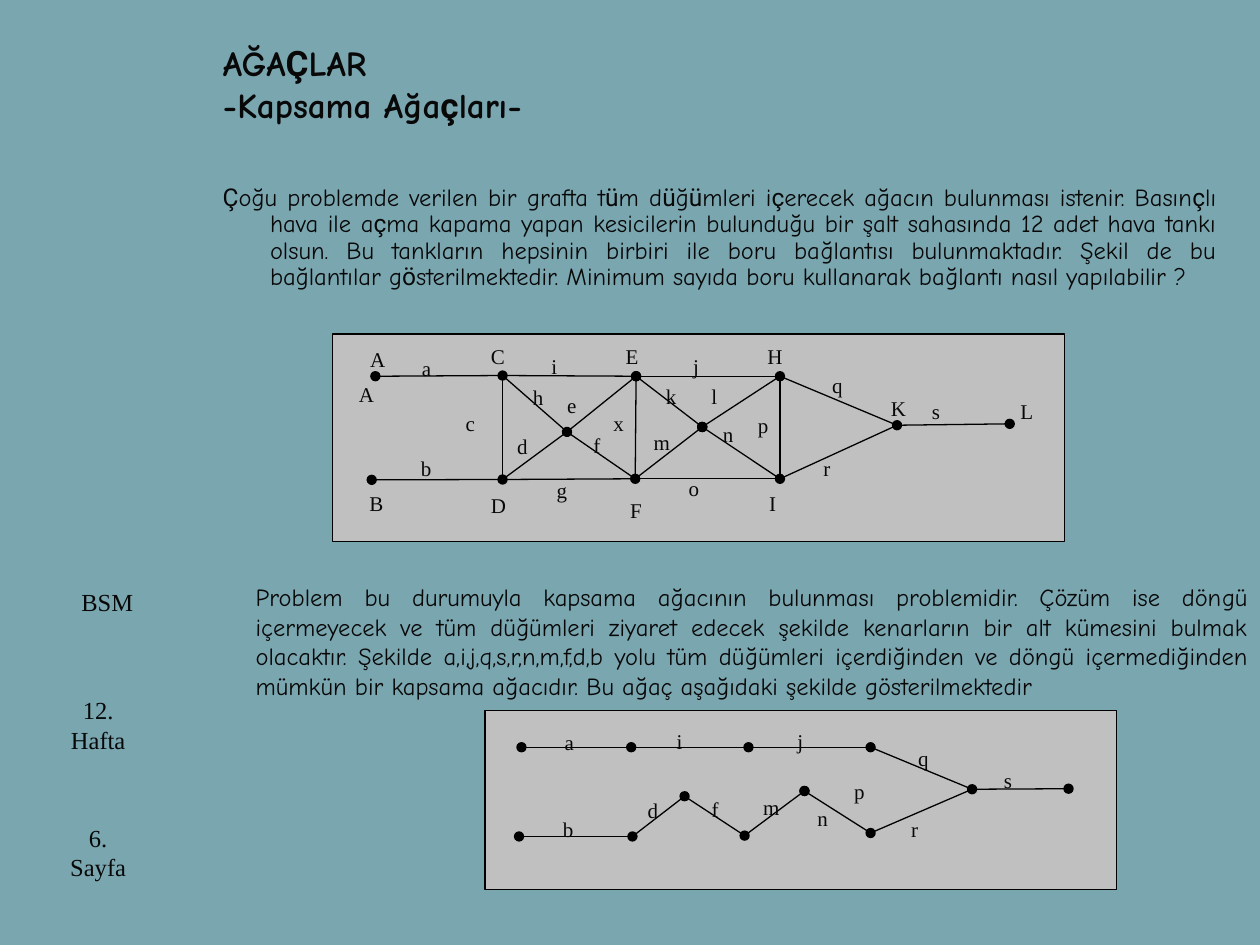
"""Build the slide on spanning trees with its two graph diagrams."""
import itertools

import lxml.etree
import pptx
import pptx.dml.color
import pptx.enum.shapes
import pptx.enum.text
import pptx.oxml.ns
import pptx.util

Pt = pptx.util.Pt
ALIGN = pptx.enum.text.PP_ALIGN
ANCHOR = pptx.enum.text.MSO_ANCHOR
BACKDROP = pptx.dml.color.RGBColor(0x7A, 0xA6, 0xB0)
PANEL = pptx.dml.color.RGBColor(0xC0, 0xC0, 0xC0)
INK = pptx.dml.color.RGBColor(0x08, 0x08, 0x08)
BLACK = pptx.dml.color.RGBColor(0, 0, 0)

COMIC, ROBOTO, SERIF = "Comic Neue", "Roboto", "Times New Roman"
ROBOTO_LETTERS = "Ççüö"

TITLE = "AĞAÇLAR\n-Kapsama Ağaçları-"
QUESTION = (
    "Çoğu problemde verilen bir grafta tüm düğümleri içerecek ağacın bulunması istenir. "
    "Basınçlı hava ile açma kapama yapan kesicilerin bulunduğu bir şalt sahasında 12 adet "
    "hava tankı olsun. Bu tankların hepsinin birbiri ile boru bağlantısı bulunmaktadır. "
    "Şekil de bu bağlantılar gösterilmektedir. Minimum sayıda boru kullanarak bağlantı "
    "nasıl yapılabilir ?"
)
ANSWER = (
    "Problem bu durumuyla kapsama ağacının bulunması problemidir. Çözüm ise döngü "
    "içermeyecek ve tüm düğümleri ziyaret edecek şekilde kenarların bir alt kümesini bulmak "
    "olacaktır. Şekilde a,i,j,q,s,r,n,m,f,d,b yolu tüm düğümleri içerdiğinden ve döngü "
    "içermediğinden mümkün bir kapsama ağacıdır. Bu ağaç aşağıdaki şekilde gösterilmektedir"
)

FULL_GRAPH = {
    "panel": (190, 190.8, 418.4, 118.8),
    "label_size": (39, 26),
    "nodes": {
        "A": (214.5, 215), "C": (287.2, 214.6), "E": (363.5, 215), "H": (445.7, 215),
        "B": (212.4, 274.2), "D": (287.2, 274), "F": (363, 273.6), "I": (445.7, 273.6),
        "P": (324, 246.8), "Q": (401.3, 244), "K": (512.6, 243), "L": (577, 242.2),
    },
    "edges": "Ao-C C-E Eo-H Ho-I H-K Ko-I K-oL Io-F F-E Fo-D Co-D Do-oB "
             "P-E P-F P-D Po-C Eo-Q Qo-H Qo-I Qo-F",
    "labels": [
        ("A", 204.5, 194.5), ("B", 204, 277), ("C", 273.5, 193), ("D", 273.5, 278),
        ("E", 350.5, 193), ("F", 353, 281), ("H", 431.5, 193), ("I", 432.5, 277),
        ("K", 502, 222.5), ("L", 576, 224), ("a", 234, 199.5), ("b", 233.5, 257),
        ("c", 259, 231), ("d", 288.5, 244), ("e", 317, 220.5), ("f", 332, 243.5),
        ("h", 297.5, 216), ("i", 308, 198.5), ("g", 311, 269.5), ("j", 389, 198.5),
        ("k", 373.5, 215.5), ("A", 198, 214.5), ("l", 399.5, 215.5), ("m", 366.5, 242),
        ("x", 343.5, 231), ("n", 406, 237.5), ("o", 386.5, 268), ("p", 426, 232),
        ("q", 468.5, 209.5), ("r", 463.5, 257), ("s", 525.5, 224),
    ],
}
SPANNING_TREE = {
    "panel": (277.2, 406.1, 360.7, 102.2),
    "label_size": (34, 22.5),
    "nodes": {
        "A": (298, 427), "C": (360.7, 427), "E": (427.7, 427), "H": (497.5, 427),
        "B": (296.6, 478), "D": (361.4, 478), "F": (425.5, 477.5), "I": (497.5, 476),
        "P": (391.2, 455), "Q": (459.7, 452), "K": (555.5, 451), "L": (610.6, 450.7),
    },
    "edges": "Ao-oC C-E Eo-oH H-K Ko-I K-oL Do-oB Po-oF P-D Qo-oI Qo-F",
    "labels": [
        ("a", 315.5, 413.5), ("b", 314.5, 463), ("d", 363, 452), ("f", 399.5, 451.5),
        ("i", 379.5, 412.5), ("j", 448.5, 412.5), ("m", 429, 450.5), ("p", 481, 441.5),
        ("q", 517.5, 422.5), ("r", 513.5, 463), ("s", 566.5, 435), ("n", 460, 457),
    ],
}


def set_values(target, values):
    """Set each named attribute of the target."""
    for name, value in values.items():
        setattr(target, name, value)


def add_span(para, text, font):
    """Add one run of text with its font values."""
    span = para.add_run()
    span.text = text
    set_values(span.font, font)
    span.font.color.rgb = INK


def write_text(box, text, font, para_format=None, frame_format=None, mixed=False):
    """Write the lines of text, with some letters in Roboto when mixed."""
    frame = box.text_frame
    set_values(frame, {"word_wrap": True, **(frame_format or {})})
    for index, line in enumerate(text.split("\n")):
        para = frame.add_paragraph() if index else frame.paragraphs[0]
        set_values(para, para_format or {})
        if not mixed:
            add_span(para, line, font)
            continue
        for special, letters in itertools.groupby(line, lambda letter: letter in ROBOTO_LETTERS):
            add_span(para, "".join(letters), {**font, "name": ROBOTO if special else COMIC})


def add_text(parent, bounds, text, font, **options):
    """Add a text box at bounds given in points."""
    box = parent.shapes.add_textbox(*map(Pt, bounds))
    write_text(box, text, font, **options)
    return box


def add_title(page):
    """Place and fill the title placeholder."""
    box = page.shapes.title
    set_values(box, dict(zip(("left", "top", "width", "height"), map(Pt, (120.2, 5.8, 581, 84.2)))))
    write_text(
        box, TITLE, {"size": Pt(20), "bold": True}, {"alignment": ALIGN.LEFT},
        {"vertical_anchor": ANCHOR.MIDDLE, "auto_size": pptx.enum.text.MSO_AUTO_SIZE.NONE}, True,
    )


def add_panel(group, bounds):
    """Add the grey panel behind a graph."""
    box = group.shapes.add_shape(pptx.enum.shapes.MSO_SHAPE.RECTANGLE, *map(Pt, bounds))
    box.shadow.inherit = False
    box.fill.solid()
    box.fill.fore_color.rgb = PANEL
    box.line.color.rgb = BLACK
    box.line.width = Pt(0.75)


def add_edge(group, nodes, edge):
    """Draw an edge such as Ao-B, where o marks an end with a dot."""
    start, end = edge.split("-")
    points = nodes[start[0]] + nodes[end[-1]]
    straight = pptx.enum.shapes.MSO_CONNECTOR.STRAIGHT
    line = group.shapes.add_connector(straight, *map(Pt, points))
    line.line.color.rgb = BLACK
    line.line.width = Pt(0.75)
    outline = line.line._get_or_add_ln()
    for tag, name in (("a:headEnd", start), ("a:tailEnd", end)):
        if "o" in name:
            lxml.etree.SubElement(outline, pptx.oxml.ns.qn(tag), type="oval")
    lxml.etree.SubElement(line._element.spPr, pptx.oxml.ns.qn("a:effectLst"))


def add_graph(page, graph):
    """Draw a graph as a group of panel, edges and labels."""
    group = page.shapes.add_group_shape()
    add_panel(group, graph["panel"])
    for edge in graph["edges"].split():
        add_edge(group, graph["nodes"], edge)
    for text, left, top in graph["labels"]:
        add_text(group, (left, top, *graph["label_size"]), text, {"size": Pt(12), "name": SERIF})


def main():
    """Build and save the deck."""
    deck = pptx.Presentation()
    deck.slide_width, deck.slide_height = Pt(720), Pt(540)
    page = deck.slides.add_slide(deck.slide_layouts.get_by_name("Title Only"))
    page.background.fill.solid()
    page.background.fill.fore_color.rgb = BACKDROP

    add_title(page)
    question = add_text(
        page, (120.2, 102.2, 581.8, 386), QUESTION, {"size": Pt(14)},
        para_format={"alignment": ALIGN.JUSTIFY, "line_spacing": 0.9}, mixed=True,
    )
    indent = {"marL": str(Pt(27)), "indent": str(-Pt(27))}
    for name, value in indent.items():
        question.text_frame.paragraphs[0]._p.get_or_add_pPr().set(name, value)
    add_graph(page, FULL_GRAPH)
    add_text(
        page, (139, 321.1, 581, 90.7), ANSWER, {"size": Pt(14), "name": COMIC},
        para_format={"alignment": ALIGN.JUSTIFY},
        frame_format={"vertical_anchor": ANCHOR.MIDDLE},
    )
    add_graph(page, SPANNING_TREE)
    for text, bounds, alignment in (
        ("12. Hafta", (28, 393.8, 56.2, 50.4), ALIGN.CENTER),
        ("6. Sayfa", (28, 466.6, 56.2, 44.6), ALIGN.CENTER),
        ("BSM", (39.4, 331.9, 45, 24.5), ALIGN.LEFT),
    ):
        add_text(page, bounds, text, {"size": Pt(14), "name": SERIF},
                 para_format={"alignment": alignment})
    deck.save("out.pptx")


if __name__ == "__main__":
    main()
